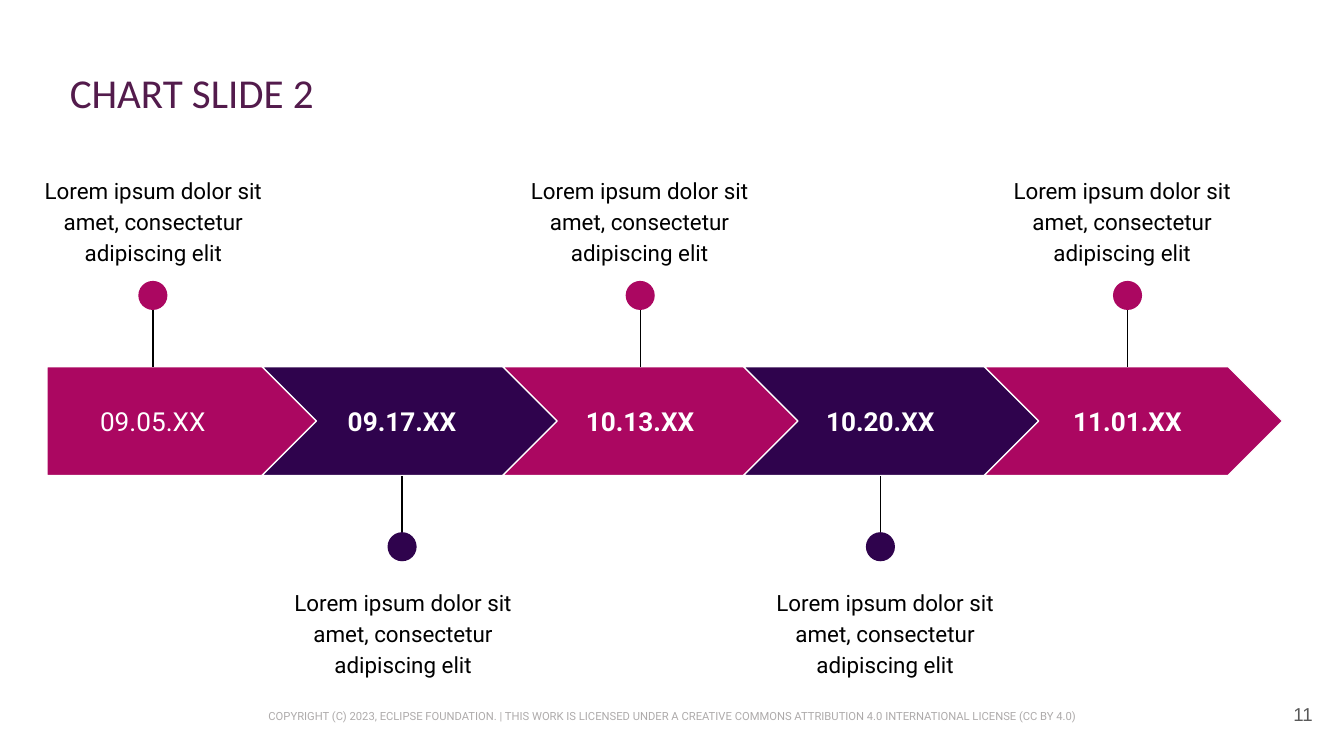
from typing import NamedTuple

from lxml.etree import SubElement
from pptx import Presentation
from pptx.dml.color import RGBColor
from pptx.enum.shapes import MSO_CONNECTOR, MSO_SHAPE as Preset
from pptx.enum.text import MSO_ANCHOR as Anchor, MSO_AUTO_SIZE as AutoSize, PP_ALIGN as Align
from pptx.oxml.ns import qn
from pptx.util import Cm, Pt

MAGENTA = RGBColor(0xAB, 0x07, 0x61)
INDIGO = RGBColor(0x2F, 0x03, 0x4D)
PLUM = RGBColor(0x53, 0x1B, 0x4C)
BLACK = RGBColor(0, 0, 0)
WHITE = RGBColor(0xFF, 0xFF, 0xFF)
DARK_GREY = RGBColor(0x59, 0x59, 0x59)
LIGHT_GREY = RGBColor(0xAE, 0xAB, 0xAB)

SLIDE_WIDTH, SLIDE_HEIGHT = 25.4, 14.29
INSET = Cm(0.25)

# Timeline band, in cm
BAND_TOP, BAND_HEIGHT = 6.93, 2.06
BAND_BOTTOM = BAND_TOP + BAND_HEIGHT
START_LEFT, START_WIDTH = 0.89, 5.16
CHEVRON_LEFT, CHEVRON_WIDTH, CHEVRON_STEP = 4.95, 5.64, 4.55
PIN_LENGTH, DOT = 1.52, 0.55
NOTE = "Lorem ipsum dolor sit amet, consectetur adipiscing elit"
NOTE_HEIGHT = 2.18


class Milestone(NamedTuple):
    date: str
    center: float
    date_width: float
    note_center: float
    note_width: float


MILESTONES = [
    Milestone("09.05.XX", 2.89, 3.99, 2.9, 5.18),
    Milestone("09.17.XX", 7.6, 3.61, 7.62, 4.67),
    Milestone("10.13.XX", 12.1, 3.61, 12.09, 4.67),
    Milestone("10.20.XX", 16.64, 3.61, 16.73, 4.95),
    Milestone("11.01.XX", 21.31, 3.61, 21.21, 4.67),
]


def write(frame, text, font_name, size, color, align=Align.CENTER,
          anchor=Anchor.TOP, bold=False, spacing=None):
    frame.word_wrap = True
    frame.vertical_anchor = anchor
    frame.margin_left = frame.margin_right = INSET
    frame.margin_top = frame.margin_bottom = INSET
    frame.text = text
    paragraph = frame.paragraphs[0]
    paragraph.alignment = align
    if spacing:
        paragraph.line_spacing = spacing
    font = paragraph.font
    font.name, font.size, font.bold = font_name, Pt(size), bold
    font.color.rgb = color


def add_text(slide, left, top, width, height, *text_format, **options):
    box = slide.shapes.add_textbox(Cm(left), Cm(top), Cm(width), Cm(height))
    write(box.text_frame, *text_format, **options)


def add_solid(shapes, preset, left, top, width, height, fill, outline=None):
    solid = shapes.add_shape(preset, Cm(left), Cm(top), Cm(width), Cm(height))
    solid.shadow.inherit = False
    solid.fill.solid()
    solid.fill.fore_color.rgb = fill
    if outline is None:
        solid.line.fill.background()
    else:
        solid.line.color.rgb = outline
        solid.line.width = Pt(0.75)
    return solid


def add_pin(slide, center, above, color):
    """Stem from the band with a dot at its far end."""
    pin = slide.shapes.add_group_shape().shapes
    base = BAND_TOP if above else BAND_BOTTOM
    tip = base - PIN_LENGTH if above else base + PIN_LENGTH
    stem = pin.add_connector(MSO_CONNECTOR.STRAIGHT, Cm(center), Cm(tip), Cm(center), Cm(base))
    stem.line.color.rgb = BLACK
    stem.line.width = Pt(0.75)
    SubElement(stem.element.spPr, qn("a:effectLst"))
    dot_top = tip - 0.1 if above else tip + 0.1 - DOT
    add_solid(pin, Preset.OVAL, center - DOT / 2, dot_top, DOT, DOT, color)


def add_milestone(slide, index, milestone):
    first, above = index == 0, index % 2 == 0
    color = MAGENTA if above else INDIGO
    # Band segment
    if first:
        preset, left, width = Preset.PENTAGON, START_LEFT, START_WIDTH
    else:
        preset, width = Preset.CHEVRON, CHEVRON_WIDTH
        left = CHEVRON_LEFT + (index - 1) * CHEVRON_STEP
    segment = add_solid(slide.shapes, preset, left, BAND_TOP, width, BAND_HEIGHT, color, WHITE)
    segment.adjustments[0] = 0.5
    # Date
    add_text(slide, milestone.center - milestone.date_width / 2, 7.3,
             milestone.date_width, 1.3, milestone.date, "Roboto", 14, WHITE,
             anchor=Anchor.MIDDLE, bold=not first)
    # Pin and note
    add_pin(slide, milestone.center, above, color)
    add_text(slide, milestone.note_center - milestone.note_width / 2,
             3.02 if above else 10.82, milestone.note_width, NOTE_HEIGHT,
             NOTE, "Roboto", 12, BLACK, spacing=1.15)


def add_title(slide, text):
    title = slide.shapes.title
    title.left, title.top, title.width, title.height = Cm(1.07), Cm(1.02), Cm(8.79), Cm(1.45)
    write(title.text_frame, text, "Calibri", 22, PLUM, align=Align.LEFT)
    title.text_frame.auto_size = AutoSize.SHAPE_TO_FIT_TEXT


def main():
    prs = Presentation()
    prs.slide_width, prs.slide_height = Cm(SLIDE_WIDTH), Cm(SLIDE_HEIGHT)
    slide = prs.slides.add_slide(prs.slide_layouts[5])
    add_title(slide, "CHART SLIDE 2")
    for index, milestone in enumerate(MILESTONES):
        add_milestone(slide, index, milestone)
    # Copyright line and page number
    add_text(slide, 0, 13.23, SLIDE_WIDTH, 1.06,
             "COPYRIGHT (C) 2023, ECLIPSE FOUNDATION. | THIS WORK IS LICENSED UNDER A "
             "CREATIVE COMMONS ATTRIBUTION 4.0 INTERNATIONAL LICENSE (CC BY 4.0)",
             "Roboto", 6, LIGHT_GREY, spacing=1.15)
    add_text(slide, 23.54, 12.95, 1.52, 1.09, "11", "Arial", 10, DARK_GREY,
             align=Align.RIGHT, anchor=Anchor.MIDDLE)
    prs.save("out.pptx")


if __name__ == "__main__":
    main()
